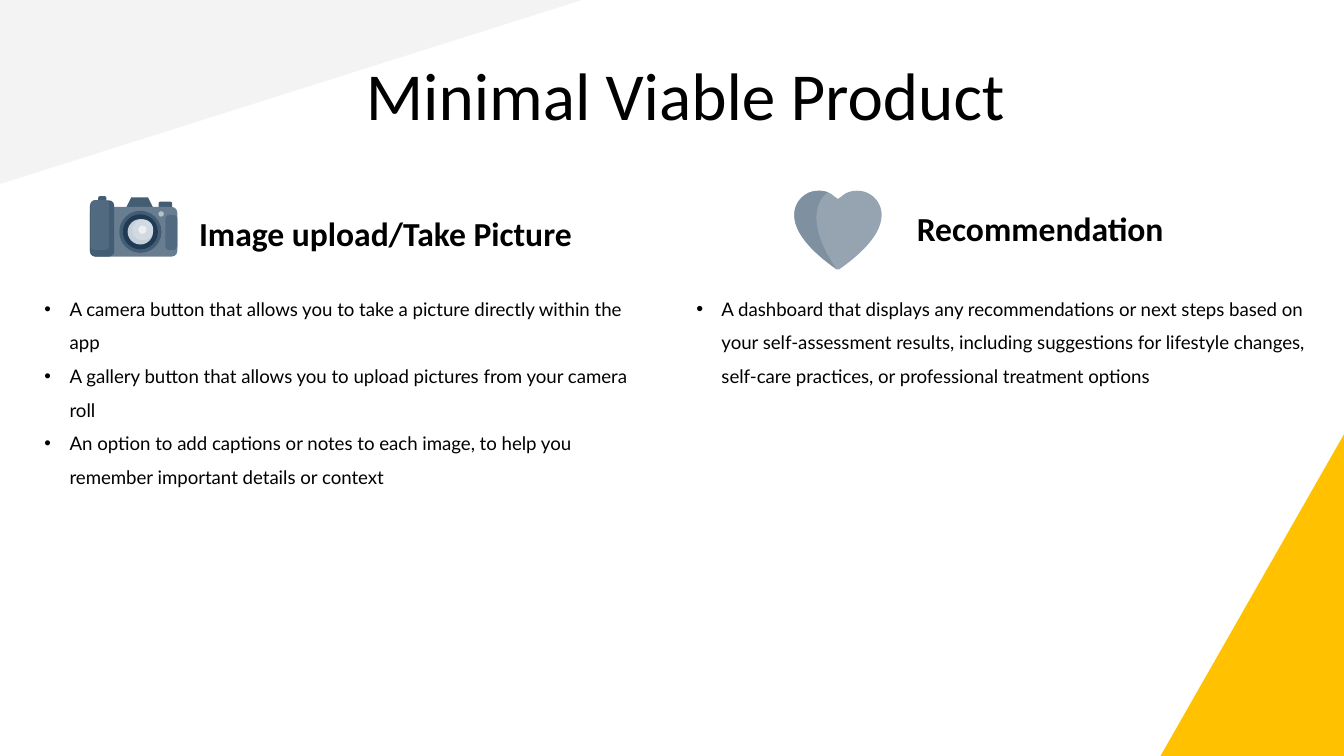
from lxml import etree
from pptx import Presentation
from pptx.dml.color import RGBColor
from pptx.enum.shapes import MSO_SHAPE
from pptx.enum.text import MSO_ANCHOR, MSO_AUTO_SIZE, PP_ALIGN
from pptx.oxml.ns import qn
from pptx.util import Pt

BLACK = RGBColor(0x00, 0x00, 0x00)
PALE_GREY = RGBColor(0xF3, 0xF3, 0xF3)
YELLOW = RGBColor(0xFF, 0xC1, 0x00)
DARK_SLATE = RGBColor(0x43, 0x5D, 0x74)
MID_SLATE = RGBColor(0x52, 0x6A, 0x7F)
SLATE = RGBColor(0x69, 0x7D, 0x90)
NAVY = RGBColor(0x21, 0x3B, 0x55)
GLASS = RGBColor(0xC5, 0xD0, 0xDA)
LIGHT_GLASS = RGBColor(0xD1, 0xDA, 0xE2)
SHINE = RGBColor(0xEC, 0xEF, 0xF2)
LAMP = RGBColor(0xB8, 0xC2, 0xC9)
HEART = RGBColor(0x96, 0xA4, 0xB1)
HEART_SHADE = RGBColor(0x7F, 0x91, 0xA0)


def paint(shape, color):
    shape.shadow.inherit = False
    shape.fill.solid()
    shape.fill.fore_color.rgb = color
    shape.line.fill.background()


def bezier(start, control1, control2, end, steps=16):
    """Return points along a cubic curve, without its start."""
    points = []
    for step in range(1, steps + 1):
        t = step / steps
        weights = ((1 - t) ** 3, 3 * t * (1 - t) ** 2, 3 * t * t * (1 - t), t ** 3)
        corners = (start, control1, control2, end)
        points.append(tuple(sum(w * c[axis] for w, c in zip(weights, corners))
                            for axis in (0, 1)))
    return points


deck = Presentation()
deck.slide_width, deck.slide_height = Pt(720), Pt(405)
page = deck.slides.add_slide(deck.slide_layouts.get_by_name("Comparison"))

# Corner triangles, behind the text: left, top, width, height before rotation
triangles = [
    (106.6, -106.6, 98.6, 311.8, 90, PALE_GREY),
    (584.6, 269.3, 172.8, 98.6, 270, YELLOW),
]
for *frame, rotation, color in triangles:
    triangle = page.shapes.add_shape(MSO_SHAPE.RIGHT_TRIANGLE, *map(Pt, frame))
    triangle.rotation = rotation
    paint(triangle, color)
    triangle.element.getparent().insert(2, triangle.element)

# Title, headings and lists
title_format = {"size": Pt(36), "name": "Calibri", "bold": False}
heading_format = {"size": Pt(18), "name": "Calibri", "bold": True}
list_format = {"size": Pt(10), "name": "Lato", "bold": False}
texts = [
    (0, (48.2, 21.6, 638, 45.4), title_format, MSO_ANCHOR.TOP, 7.2, 100,
     ["Minimal Viable Product"]),
    (1, (93.6, 110.9, 226, 28), heading_format, MSO_ANCHOR.MIDDLE, 3.6, 100,
     ["Image upload/Take Picture"]),
    (2, (16.6, 149.8, 337.7, 199.4), list_format, MSO_ANCHOR.TOP, 3.6, 100, [
        "A camera button that allows you to take a picture directly within the app",
        "A gallery button that allows you to upload pictures from your camera roll",
        "An option to add captions or notes to each image, to help you remember "
        "important details or context",
    ]),
    (3, (457.2, 108, 200.2, 28), heading_format, MSO_ANCHOR.MIDDLE, 3.6, 100,
     ["Recommendation"]),
    (4, (365.8, 149.8, 360, 59.8), list_format, MSO_ANCHOR.TOP, 3.6, 105, [
        "A dashboard that displays any recommendations or next steps based on your "
        "self-assessment results, including suggestions for lifestyle changes, "
        "self-care practices, or professional treatment options",
    ]),
]
boxes = {box.placeholder_format.idx: box for box in page.placeholders}
for index, frame, font_format, anchor, inset, bullet_size, lines in texts:
    box = boxes[index]
    box.left, box.top, box.width, box.height = map(Pt, frame)
    text_frame = box.text_frame
    frame_format = {
        "word_wrap": True, "auto_size": MSO_AUTO_SIZE.NONE, "vertical_anchor": anchor,
        "margin_left": Pt(7.2), "margin_right": Pt(7.2),
        "margin_top": Pt(inset), "margin_bottom": Pt(inset),
    }
    for name, value in frame_format.items():
        setattr(text_frame, name, value)
    text_frame.text = "\n".join(lines)
    for para in text_frame.paragraphs:
        para.space_before = Pt(0)
        if font_format is list_format:
            para.alignment = PP_ALIGN.LEFT
            para.line_spacing = 1.5
            properties = para._p.get_or_add_pPr()
            properties.set("marL", str(Pt(13.5)))
            properties.set("indent", str(-Pt(13.5)))
            bullet_color = etree.SubElement(properties, qn("a:buClr"))
            etree.SubElement(bullet_color, qn("a:srgbClr"), val=str(BLACK))
            etree.SubElement(properties, qn("a:buSzPct"), val=str(bullet_size * 1000))
            etree.SubElement(properties, qn("a:buFont"), typeface="Arial")
            etree.SubElement(properties, qn("a:buChar"), char="•")
        else:
            para.alignment = PP_ALIGN.CENTER
        for span in para.runs:
            span.font.color.rgb = BLACK
            for name, value in font_format.items():
                setattr(span.font, name, value)

# Camera: preset, corner adjustment, left, top, width, height, colour
ROUND, OVAL = MSO_SHAPE.ROUNDED_RECTANGLE, MSO_SHAPE.OVAL
camera_parts = [
    (MSO_SHAPE.TRAPEZOID, 0.5, 67.7, 105.8, 14.2, 5.2, DARK_SLATE),
    (ROUND, 0.25, 85, 108, 7.2, 4, DARK_SLATE),
    (ROUND, 0.11, 48.2, 110.9, 46.8, 26.6, SLATE),
    (ROUND, 0.3, 88.6, 115.2, 6.4, 18.7, MID_SLATE),
    (OVAL, None, 63.9, 112.9, 22.6, 22.6, DARK_SLATE),
    (OVAL, None, 65.8, 114.8, 18.8, 18.8, NAVY),
    (OVAL, None, 68.4, 117.4, 13.6, 13.6, GLASS),
    (OVAL, None, 70.9, 117.5, 11.2, 11.2, LIGHT_GLASS),
    (OVAL, None, 74.1, 120.9, 4.4, 4.4, SHINE),
    (ROUND, 0.25, 52.6, 105.1, 4.4, 3.6, DARK_SLATE),
    (ROUND, 0.22, 48.2, 107.3, 13, 30.2, DARK_SLATE),
    (ROUND, 0.22, 48.6, 107.3, 9.8, 26.6, MID_SLATE),
    (OVAL, None, 84.9, 113.2, 2.9, 2.9, LAMP),
]
camera = page.shapes.add_group_shape()
for preset, adjustment, *frame, color in camera_parts:
    part = camera.shapes.add_shape(preset, *map(Pt, frame))
    if adjustment is not None:
        part.adjustments[0] = adjustment
    paint(part, color)

# Heart: the right half mirrors the left one
CENTER = 448.9
crown, side, tip = (438.5, 102.2), (425.5, 115.2), (448.2, 144.3)
left_edge = [crown,
             *bezier(crown, (431.3, 102.2), (425.5, 108), side),
             *bezier(side, (425.5, 128.2), (442.8, 140.4), tip)]
notch = [(CENTER, 106.6), *bezier((447.1, 105.5), (445, 103), (441.4, 102.2), crown)]
left_half = notch + left_edge[1:]
right_half = [(2 * CENTER - x, y) for x, y in reversed(left_half)]
shade_top = (443.5, 103)
shade = (left_edge
         + bezier(tip, (431.3, 120.2), (437.8, 106.6), shade_top)
         + bezier(shade_top, (442, 102.5), (440.3, 102.2), crown))
heart = page.shapes.add_group_shape()
for outline, color in [(left_half + right_half, HEART), (shade, HEART_SHADE)]:
    points = [(Pt(x), Pt(y)) for x, y in outline]
    builder = heart.shapes.build_freeform(*points[0])
    builder.add_line_segments(points[1:], close=True)
    paint(builder.convert_to_shape(), color)

deck.save("out.pptx")
